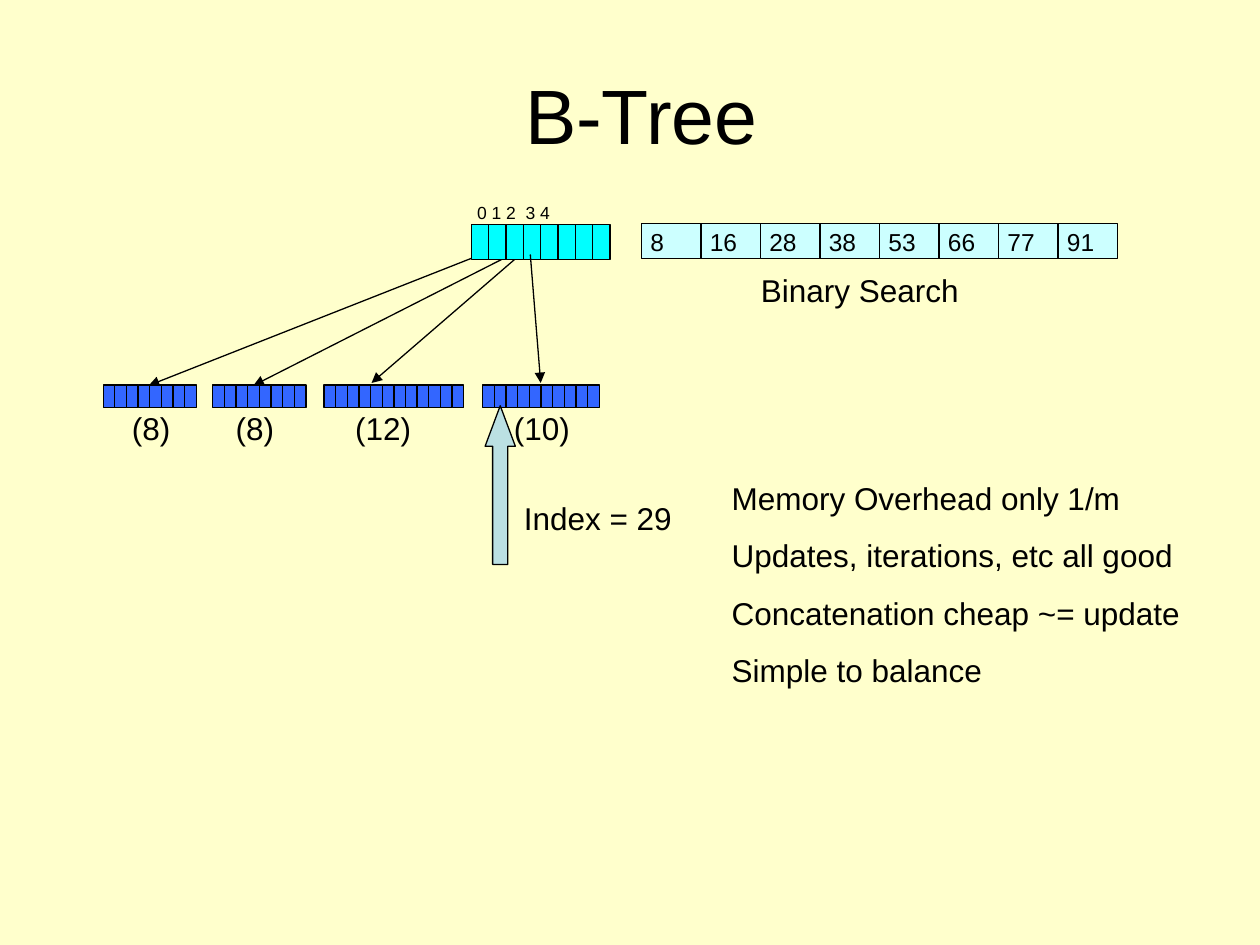
from lxml import etree
from pptx import Presentation
from pptx.dml.color import RGBColor
from pptx.enum.shapes import MSO_CONNECTOR as Connector, MSO_SHAPE as Shape
from pptx.enum.text import MSO_ANCHOR as Anchor, PP_ALIGN as Align
from pptx.oxml.ns import qn
from pptx.util import Cm, Pt

rgb = RGBColor.from_string
BLACK = "000000"
FONT = "Arial"

deck = Presentation()
deck.slide_width, deck.slide_height = Cm(25.4), Cm(19.05)
slide = deck.slides.add_slide(deck.slide_layouts[6])
slide.background.fill.solid()
slide.background.fill.fore_color.rgb = rgb("FFFFCC")
shapes = slide.shapes


def add_block(kind, left, top, width, height, fill):
    block = shapes.add_shape(kind, Cm(left), Cm(top), Cm(width), Cm(height))
    block.shadow.inherit = False
    block.fill.solid()
    block.fill.fore_color.rgb = rgb(fill)
    block.line.color.rgb = rgb(BLACK)
    block.line.width = Pt(0.75)
    return block


def add_text(left, top, width, height, lines, size=18, before=11.2):
    box = shapes.add_textbox(Cm(left), Cm(top), Cm(width), Cm(height))
    frame = box.text_frame
    frame.word_wrap = True
    frame.text = "\n".join(lines)
    for para in frame.paragraphs:
        para.space_before = Pt(before)
        para.font.size = Pt(size)
        para.font.name = FONT
        para.font.color.rgb = rgb(BLACK)
    return frame


# Title
title = add_text(1.5, 0.71, 22.86, 3.18, ["B-Tree"], size=44, before=0)
title.vertical_anchor = Anchor.MIDDLE
title.paragraphs[0].alignment = Align.CENTER

# Pointers from the root to the leaves
pointers = [
    (9.7, 3.0, 7.77),
    (10.31, 5.11, 7.77),
    (10.49, 7.49, 7.72),
    (10.69, 10.9, 7.72),
]
for start_x, end_x, end_y in pointers:
    pointer = shapes.add_connector(
        Connector.STRAIGHT, Cm(start_x), Cm(5.13), Cm(end_x), Cm(end_y))
    pointer.line.color.rgb = rgb(BLACK)
    pointer.line.width = Pt(0.75)
    properties = pointer.line._get_or_add_ln()
    etree.SubElement(properties, qn("a:tailEnd"), type="triangle")
    etree.SubElement(pointer._element.spPr, qn("a:effectLst"))

# Root node with its slot numbers
for slot in range(8):
    add_block(Shape.RECTANGLE, 9.5 + slot * 0.35, 4.52, 0.35, 0.71, "00FFFF")
add_text(9.37, 3.94, 4.19, 0.69, ["0 1 2  3 4"], size=10, before=6.2)

# Leaf nodes: cell count, left edge, left edge of the count label
leaves = [(8, 2.08, 2.41), (8, 4.29, 4.5), (12, 6.53, 6.91), (10, 9.73, 10.11)]
for count, left, label_left in leaves:
    for slot in range(count):
        add_block(Shape.RECTANGLE, left + slot * 0.235, 7.76, 0.235, 0.46, "3366FF")
    add_text(label_left, 8.13, 2.21, 1.02, [f"({count})"])

# The last pointer lies over the nodes
shapes[-1]._element.addnext(pointer._element)

# Keys of the root
for slot, key in enumerate([8, 16, 28, 38, 53, 66, 77, 91]):
    cell = add_block(Shape.RECTANGLE, 12.93 + slot * 1.2, 4.51, 1.2, 0.71, "CCFFFF")
    frame = cell.text_frame
    frame.margin_left = Cm(0.18)
    frame.margin_right = frame.margin_top = frame.margin_bottom = 0
    frame.vertical_anchor = Anchor.MIDDLE
    para = frame.paragraphs[0]
    para.text = str(key)
    para.alignment = Align.LEFT
    para.font.size = Pt(14)
    para.font.name = FONT
    para.font.color.rgb = rgb(BLACK)
add_text(15.09, 5.33, 5.21, 1.02, ["Binary Search"])

# Arrow at the looked-up index
index_arrow = add_block(Shape.UP_ARROW, 9.78, 8.18, 0.61, 3.2, "BBE0E3")
index_arrow.adjustments[0] = 0.5
index_arrow.adjustments[1] = 1.34
add_text(10.31, 9.93, 3.81, 1.02, ["Index = 29"])

# Properties
add_text(14.5, 9.53, 10.01, 4.5, [
    "Memory Overhead only 1/m",
    "Updates, iterations, etc all good",
    "Concatenation cheap ~= update",
    "Simple to balance",
])

deck.save("out.pptx")
